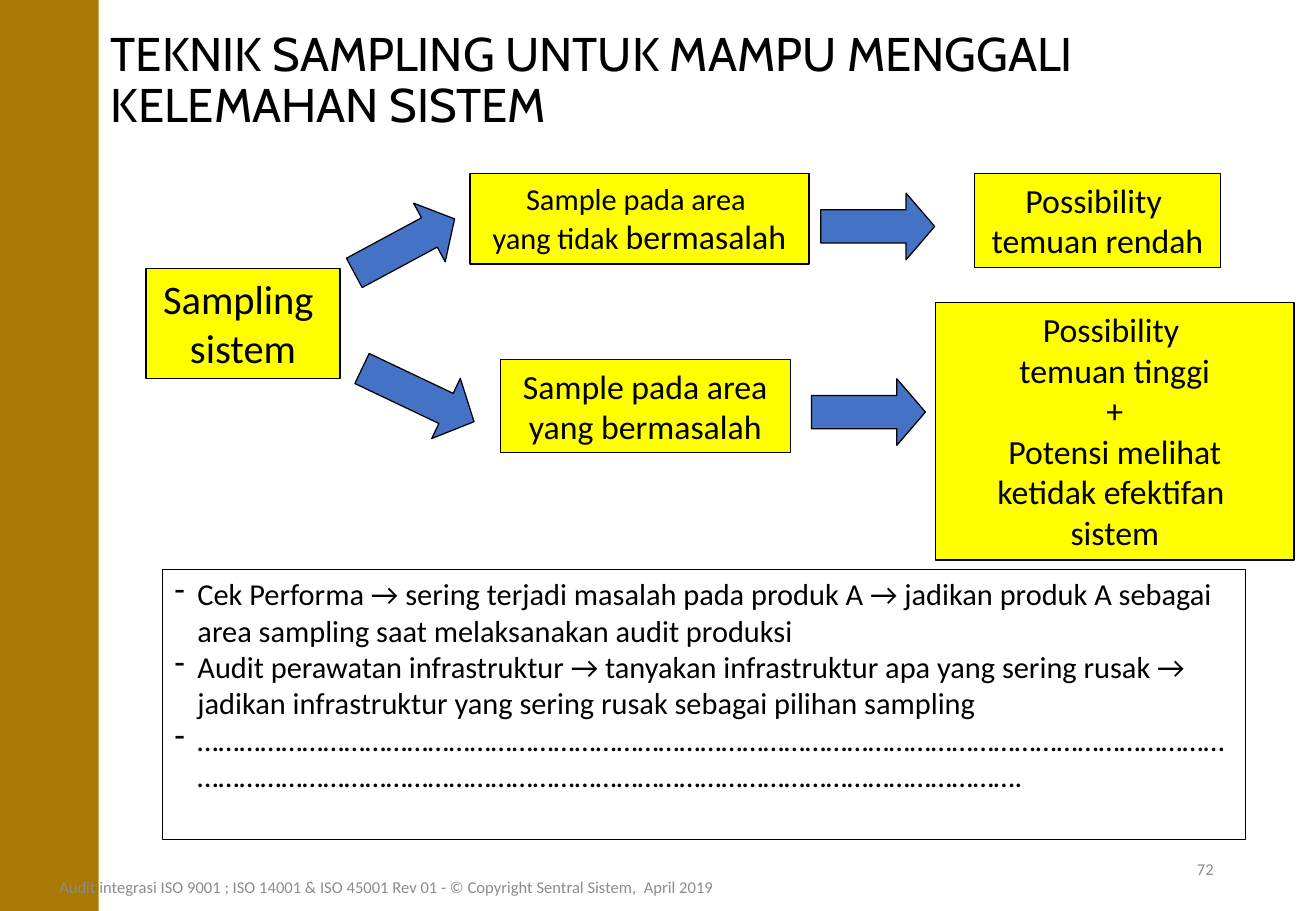
from pptx import Presentation
from pptx.dml.color import RGBColor
from pptx.enum.shapes import MSO_SHAPE
from pptx.enum.text import MSO_ANCHOR, MSO_AUTO_SIZE, PP_ALIGN
from pptx.oxml.ns import qn
from pptx.util import Pt
from lxml.etree import SubElement

BLACK = RGBColor(0x00, 0x00, 0x00)
GRAY = RGBColor(0x8C, 0x8C, 0x8C)
YELLOW = RGBColor(0xFF, 0xFF, 0x00)
BLUE = RGBColor(0x44, 0x72, 0xC4)
GOLD = RGBColor(0xA8, 0x79, 0x04)

STEPS = [
    (0, 56, 115, 65.5, 24, False, ["Sampling ", "sistem"]),
    (192, 0, 201, 53.5, 18, False,
     ["Sample pada area ", ("yang tidak ", ("bermasalah", 20))]),
    (210, 110, 172, 55.5, 20, False, ["Sample pada area", "yang bermasalah"]),
    (491, 0, 146, 55.5, 20, False, ["Possibility ", "temuan rendah"]),
    (468, 76.5, 212.5, 152.5, 20, True,
     ["Possibility ", "temuan tinggi", "+", "Potensi melihat",
      "ketidak efektifan ", "sistem"]),
]
ARROWS = [
    (394.5, 121.5, 67.5, 0, 0.429),
    (400, 11.5, 67.5, 0, 0.429),
    (119.5, 23, 67.5, -28.3, 0.429),
    (124.5, 111.5, 73.5, 25.4, 0.465),
]
NOTES = [
    "Cek Performa → sering terjadi masalah pada produk A → jadikan produk A "
    "sebagai area sampling saat melaksanakan audit produksi",
    "Audit perawatan infrastruktur → tanyakan infrastruktur apa yang sering "
    "rusak → jadikan infrastruktur yang sering rusak sebagai pilihan sampling",
    "………………………………………………………………………………………………………………………………………………………………………………………………………………………………………….",
]


def write(tf, paragraphs, size, font="Calibri", color=BLACK,
          align=PP_ALIGN.LEFT, anchor=MSO_ANCHOR.TOP, wrap=True,
          spacing=None, dash=False):
    tf.word_wrap = wrap
    tf.auto_size = MSO_AUTO_SIZE.NONE
    tf.vertical_anchor = anchor
    for i, runs in enumerate(paragraphs):
        p = tf.add_paragraph() if i else tf.paragraphs[0]
        p.alignment = align
        if spacing:
            p.line_spacing = spacing
        if dash:
            pPr = p._p.get_or_add_pPr()
            pPr.set("marL", str(Pt(13.5)))
            pPr.set("indent", str(-Pt(13.5)))
            SubElement(pPr, qn("a:buChar")).set("char", "-")
        for run in (runs,) if isinstance(runs, str) else runs:
            text, run_size = (run, size) if isinstance(run, str) else run
            r = p.add_run()
            r.text = text
            r.font.size = Pt(run_size)
            r.font.name = font
            r.font.color.rgb = color


def add_block(s, x, y, w, h, kind=MSO_SHAPE.RECTANGLE, fill=None, line=BLACK):
    sp = s.shapes.add_shape(kind, Pt(x), Pt(y), Pt(w), Pt(h))
    sp.shadow.inherit = False
    if fill is None:
        sp.fill.background()
    else:
        sp.fill.solid()
        sp.fill.fore_color.rgb = fill
    if line is None:
        sp.line.fill.background()
    else:
        sp.line.color.rgb = line
        sp.line.width = Pt(0.75)
    return sp


def add_title(s, x, y, w, h):
    sp = s.shapes.title
    sp.left, sp.top, sp.width, sp.height = Pt(x), Pt(y), Pt(w), Pt(h)
    write(sp.text_frame,
          ["TEKNIK SAMPLING UNTUK MAMPU MENGGALI KELEMAHAN SISTEM"],
          28, font="Cabin", anchor=MSO_ANCHOR.MIDDLE, spacing=0.9)


def add_flow(s, x, y):
    for dx, dy, w, h, size, wrap, lines in STEPS:
        sp = add_block(s, x + dx, y + dy, w, h, fill=YELLOW)
        write(sp.text_frame, lines, size, align=PP_ALIGN.CENTER, wrap=wrap)
    for dx, dy, w, angle, head in ARROWS:
        sp = add_block(s, x + dx, y + dy, w, 39.5, MSO_SHAPE.RIGHT_ARROW, BLUE)
        sp.adjustments[0] = 0.5
        sp.adjustments[1] = head
        sp.rotation = angle


def add_notes_box(s, x, y, w, h):
    sp = add_block(s, x, y, w, h)
    write(sp.text_frame, NOTES, 18, dash=True)


def add_small_text(s, x, y, w, h, text, align):
    sp = s.shapes.add_textbox(Pt(x), Pt(y), Pt(w), Pt(h))
    write(sp.text_frame, [text], 9.8, color=GRAY, align=align,
          anchor=MSO_ANCHOR.MIDDLE)


def main():
    prs = Presentation()
    prs.slide_width, prs.slide_height = Pt(780), Pt(540)
    s = prs.slides.add_slide(prs.slide_layouts[5])
    add_title(s, 58.5, 3.5, 702, 90)
    add_small_text(s, 551, 500.5, 175.5, 29, "72", PP_ALIGN.RIGHT)
    add_flow(s, 86.5, 103)
    add_notes_box(s, 96.5, 337.5, 642, 160)
    add_block(s, 0, 0, 58.5, 540, fill=GOLD, line=None)
    add_small_text(s, -6.5, 511, 471, 29,
                   "Audit integrasi ISO 9001 ; ISO 14001 & ISO 45001 Rev 01 - "
                   "© Copyright Sentral Sistem,  April 2019", PP_ALIGN.CENTER)
    prs.save("out.pptx")


if __name__ == "__main__":
    main()
